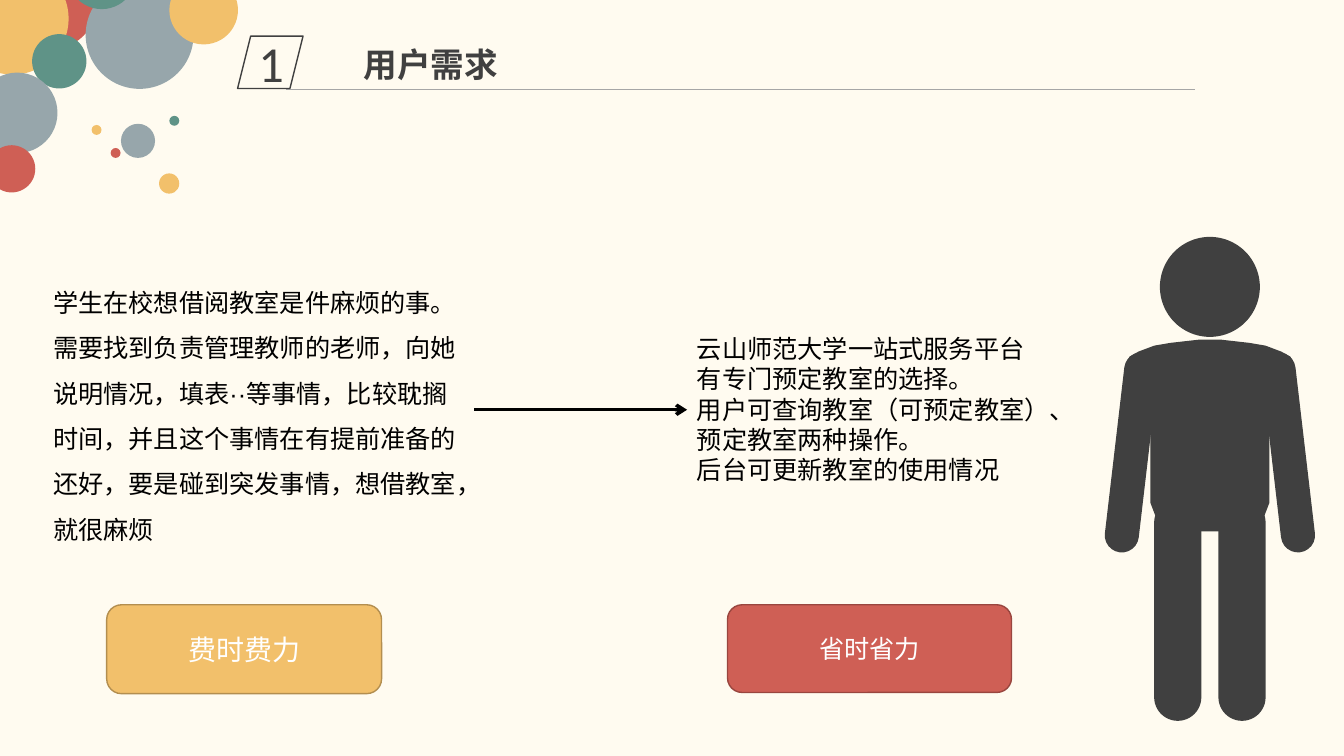
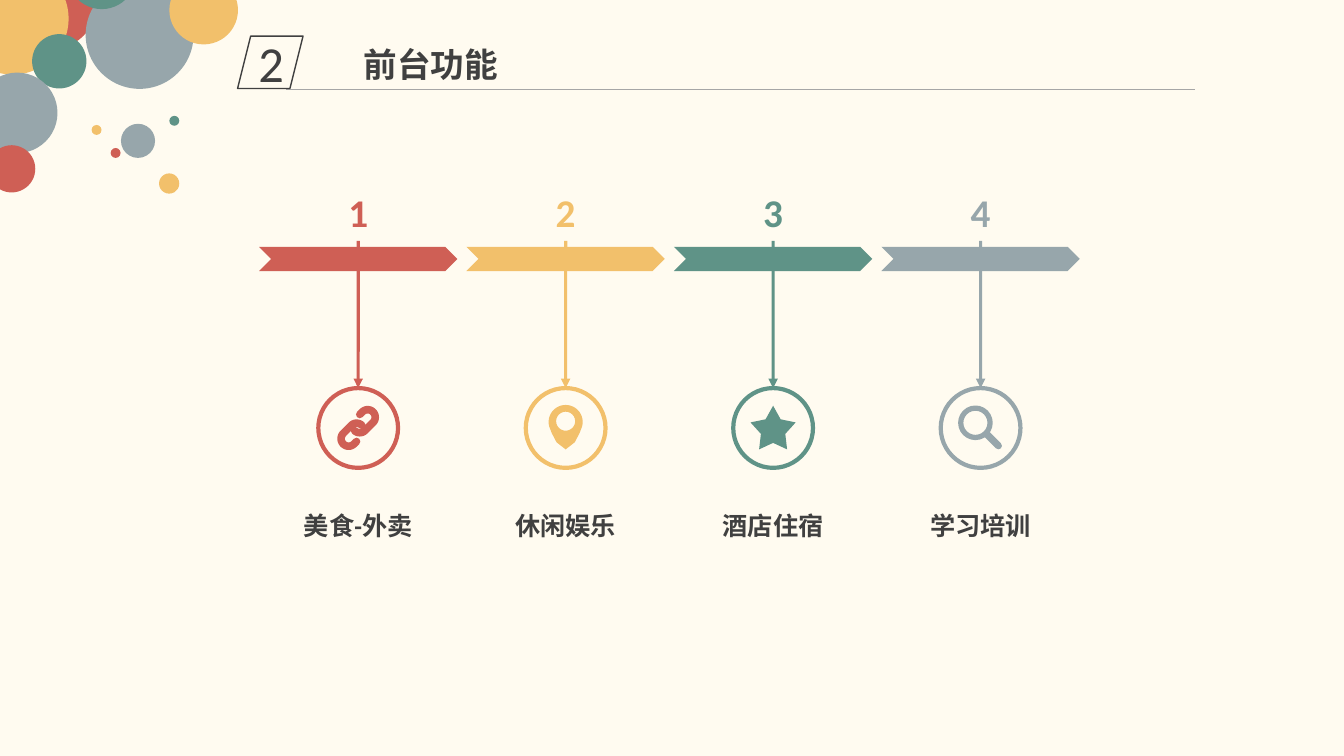
import math
from dataclasses import dataclass, field

import lxml.etree
import pptx
import pptx.dml.color
import pptx.enum.shapes
import pptx.enum.text
import pptx.oxml.ns
import pptx.util

Cm = pptx.util.Cm
Pt = pptx.util.Pt
SHAPE = pptx.enum.shapes.MSO_SHAPE
ALIGN = pptx.enum.text.PP_ALIGN
ANCHOR = pptx.enum.text.MSO_ANCHOR
qn = pptx.oxml.ns.qn


@dataclass(frozen=True)
class Theme:
    cream: str = "FFFBF0"
    red: str = "CF5F55"
    yellow: str = "F2C06B"
    green: str = "5F9387"
    gray: str = "97A6AB"
    dark: str = "404040"
    rule: str = "A6A6A6"
    black: str = "000000"
    white: str = "FFFFFF"
    yellow_edge: str = "B38E4F"
    red_edge: str = "99463F"
    asian_font: dict = field(default_factory=lambda: {
        "Arial": "Calibri", "Calibri": "Calibri", "Noto Sans CJK SC": "Noto Sans CJK SC"})
    title: dict = field(default_factory=lambda: {
        "name": "Noto Sans CJK SC", "size": Pt(24), "bold": True})
    section: dict = field(default_factory=lambda: {"name": "Calibri", "size": Pt(36)})
    number: dict = field(default_factory=lambda: {
        "name": "Calibri", "size": Pt(28), "bold": True})
    label: dict = field(default_factory=lambda: {
        "name": "Calibri", "size": Pt(18), "bold": True})
    problem: dict = field(default_factory=lambda: {"name": "Arial", "size": Pt(18)})
    body: dict = field(default_factory=lambda: {"name": "Calibri", "size": Pt(18)})
    button: dict = field(default_factory=lambda: {"name": "Calibri", "size": Pt(20)})


THEME = Theme()

# All positions and sizes below are in centimetres.
SLIDE_SIZE = (33.88, 19.05)

BUBBLES = [  # left, top, diameter, colour
    (0.1, -1.12, 2.36, THEME.red),
    (-1.09, -0.94, 2.82, THEME.yellow),
    (0.81, 0.86, 1.37, THEME.green),
    (-0.58, 1.83, 2.03, THEME.gray),
    (2.16, -0.48, 2.72, THEME.gray),
    (1.7, -1.5, 1.73, THEME.green),
    (-0.3, 3.66, 1.19, THEME.red),
    (3.05, 3.12, 0.86, THEME.gray),
    (2.79, 3.73, 0.25, THEME.red),
    (2.31, 3.15, 0.25, THEME.yellow),
    (4.27, 2.92, 0.25, THEME.green),
    (4.01, 4.37, 0.51, THEME.yellow),
    (4.27, -0.61, 1.73, THEME.yellow),
]

NEEDS_TITLE = "用户需求"
PROBLEM = [
    "学生在校想借阅教室是件麻烦的事。需要找到负责管理教师的老师，向她说明情况，填表··等事情，"
    "比较耽搁时间，并且这个事情在有提前准备的还好，要是碰到突发事情，想借教室，就很麻烦",
]
SOLUTION = [
    "云山师范大学一站式服务平台",
    "有专门预定教室的选择。",
    "用户可查询教室（可预定教室）、预定教室两种操作。",
    "后台可更新教室的使用情况",
]
BUTTONS = [  # text, box, fill, edge, style
    ("费时费力", (2.69, 15.24, 6.93, 2.24), THEME.yellow, THEME.yellow_edge, THEME.button),
    ("省时省力", (18.34, 15.24, 7.16, 2.21), THEME.red, THEME.red_edge, THEME.body),
]
PERSON_AXIS = 30.5
TORSO_SIDE = [  # distance from the axis, height on the slide
    (0.28, 8.56), (0.99, 8.64), (1.4, 8.71), (1.8, 8.86), (2.03, 8.99), (2.12, 9.19),
    (1.96, 9.5), (1.5, 9.83), (1.5, 12.67), (1.35, 13.06), (1.14, 13.28), (0.71, 13.39),
]
LIMBS = [  # start, end (distance from the axis, height), width
    ((1.73, 9.31), (2.22, 13.49), 0.86),
    ((0.81, 13.17), (0.81, 17.57), 1.19),
]

FEATURES_TITLE = "前台功能"
FEATURES = [  # label, colour, icon
    ("美食-外卖", THEME.red, "link"),
    ("休闲娱乐", THEME.yellow, "pin"),
    ("酒店住宿", THEME.green, "star"),
    ("学习培训", THEME.gray, "magnifier"),
]
FEATURE_LEFT, FEATURE_WIDTH, FEATURE_PITCH = 6.53, 5.0, 5.23
RING_TOP, RING_SIZE = 9.78, 2.01


def rgb(colour):
    return pptx.dml.color.RGBColor.from_string(colour)


def paint(shape, fill=None, line=None, width=1):
    shape.shadow.inherit = False
    if fill:
        shape.fill.solid()
        shape.fill.fore_color.rgb = rgb(fill)
    else:
        shape.fill.background()
    if line:
        shape.line.color.rgb = rgb(line)
        shape.line.width = Pt(width)
    else:
        shape.line.fill.background()
    return shape


def add_preset(slide, kind, box, **colours):
    return paint(slide.shapes.add_shape(kind, *map(Cm, box)), **colours)


def write(shape, lines, style, colour, spacing=None, align=ALIGN.LEFT,
          anchor=ANCHOR.TOP, wrap=True):
    frame = shape.text_frame
    frame.word_wrap = wrap
    frame.vertical_anchor = anchor
    for index, text in enumerate(lines):
        paragraph = frame.add_paragraph() if index else frame.paragraphs[0]
        paragraph.alignment = align
        if spacing:
            paragraph.line_spacing = spacing
        run = paragraph.add_run()
        run.text = text
        for name, value in style.items():
            setattr(run.font, name, value)
        run.font.color.rgb = rgb(colour)
        asian = lxml.etree.SubElement(run._r.get_or_add_rPr(), qn("a:ea"))
        asian.set("typeface", THEME.asian_font[style["name"]])
    return shape


def add_text(slide, box, lines, style, colour, **options):
    return write(slide.shapes.add_textbox(*map(Cm, box)), lines, style, colour, **options)


def add_line(slide, start, end, colour, width, head=None):
    connector = slide.shapes.add_connector(
        pptx.enum.shapes.MSO_CONNECTOR.STRAIGHT, *map(Cm, start + end))
    connector.line.color.rgb = rgb(colour)
    connector.line.width = Pt(width)
    properties = connector._element.spPr
    if head:
        lxml.etree.SubElement(properties.get_or_add_ln(), qn("a:tailEnd")).set("type", head)
    lxml.etree.SubElement(properties, qn("a:effectLst"))
    return connector


def add_outline(slide, contours, closed=True):
    """Builds one freeform out of one or more contours."""
    contours = [[(Cm(x), Cm(y)) for x, y in contour] for contour in contours]
    builder = slide.shapes.build_freeform(*contours[0][0])
    for index, contour in enumerate(contours):
        if index:
            builder.move_to(*contour[0])
        builder.add_line_segments(contour[1:], close=closed)
    return builder.convert_to_shape()


def add_stroke(slide, points, colour, width):
    """Draws an open line with round ends."""
    shape = paint(add_outline(slide, [points], closed=False), line=colour, width=width)
    shape._element.spPr.get_or_add_ln().set("cap", "rnd")


def add_capsule(slide, start, end, width, colour):
    """Draws a bar with round ends between two end centres."""
    (x1, y1), (x2, y2) = start, end
    length = math.hypot(x2 - x1, y2 - y1) + width
    box = ((x1 + x2 - width) / 2, (y1 + y2 - length) / 2, width, length)
    capsule = add_preset(slide, SHAPE.ROUNDED_RECTANGLE, box, fill=colour)
    capsule.adjustments[0] = 0.5
    capsule.rotation = -math.degrees(math.atan2(x2 - x1, y2 - y1))


def arc(x, y, radius, first, last, steps=24):
    """Points on a circle, clockwise, angles in degrees."""
    angles = [math.radians(first + (last - first) * i / steps) for i in range(steps + 1)]
    return [(x + radius * math.cos(a), y + radius * math.sin(a)) for a in angles]


def shift(points, x, y, factor=1):
    return [(x + factor * dx, y + factor * dy) for dx, dy in points]


def draw_link(slide, x, y, colour):
    half = [(0.04, -0.34)] + arc(0.24, -0.27, 0.19, 225, 405) + arc(0.04, -0.07, 0.19, 45, 135)
    for factor in (1, -1):
        add_stroke(slide, shift(half, x, y, factor), colour, 5.4)


def draw_pin(slide, x, y, colour):
    body = arc(0, -0.15, 0.43, 165, 375) + [
        (0.35, 0.13), (0.23, 0.36), (0, 0.54), (-0.23, 0.36), (-0.35, 0.13)]
    hole = arc(0, -0.17, 0.24, 360, 0)
    paint(add_outline(slide, [shift(body, x, y), shift(hole, x, y)]), fill=colour)


def draw_star(slide, x, y, colour):
    star = add_preset(slide, SHAPE.STAR_5_POINT, (x - 0.57, y - 0.56, 1.14, 1.1), fill=colour)
    star.adjustments[0] = 0.27


def draw_magnifier(slide, x, y, colour):
    add_stroke(slide, shift(arc(-0.13, -0.13, 0.37, 0, 360), x, y), colour, 3.75)
    add_stroke(slide, shift([(0.16, 0.16), (0.45, 0.45)], x, y), colour, 5)


ICONS = {"link": draw_link, "pin": draw_pin, "star": draw_star, "magnifier": draw_magnifier}


def add_header(slide, number, title):
    for left, top, size, colour in BUBBLES:
        add_preset(slide, SHAPE.OVAL, (left, top, size, size), fill=colour)
    add_line(slide, (7.21, 2.24), (30.12, 2.24), THEME.rule, 0.5)
    badge = add_preset(slide, SHAPE.PARALLELOGRAM, (5.99, 0.91, 1.65, 1.32), line=THEME.dark)
    write(badge, [str(number)], THEME.section, THEME.dark,
          align=ALIGN.CENTER, anchor=ANCHOR.MIDDLE)
    add_text(slide, (8.92, 0.97, 13.03, 1.27), [title], THEME.title, THEME.dark)


def draw_person(slide):
    add_preset(slide, SHAPE.OVAL, (PERSON_AXIS - 1.26, 5.97, 2.52, 2.52), fill=THEME.dark)
    for side in (-1, 1):
        for start, end, width in LIMBS:
            ends = [(PERSON_AXIS + side * dx, y) for dx, y in (start, end)]
            add_capsule(slide, *ends, width, THEME.dark)
    torso = TORSO_SIDE + [(-dx, y) for dx, y in reversed(TORSO_SIDE)]
    paint(add_outline(slide, [shift(torso, PERSON_AXIS, 0)]), fill=THEME.dark)


def build_needs(slide):
    draw_person(slide)
    add_header(slide, 1, NEEDS_TITLE)
    problem = add_text(slide, (1.09, 6.73, 10.87, 7.19), PROBLEM, THEME.problem,
                       THEME.black, spacing=1.5)
    solution = add_text(slide, (17.32, 8.28, 9.93, 4.09), SOLUTION, THEME.body, THEME.black)
    arrow = add_line(slide, (11.96, 10.33), (17.32, 10.33), THEME.black, 2.5, "arrow")
    arrow.begin_connect(problem, 3)
    arrow.end_connect(solution, 1)
    for text, box, fill, edge, style in BUTTONS:
        button = add_preset(slide, SHAPE.ROUNDED_RECTANGLE, box, fill=fill, line=edge)
        write(button, [text], style, THEME.white, align=ALIGN.CENTER, anchor=ANCHOR.MIDDLE)


def build_features(slide):
    add_header(slide, 2, FEATURES_TITLE)
    for index, (label, colour, icon) in enumerate(FEATURES):
        left = FEATURE_LEFT + index * FEATURE_PITCH
        middle = left + FEATURE_WIDTH / 2
        add_preset(slide, SHAPE.CHEVRON, (left, 6.22, FEATURE_WIDTH, 0.61), fill=colour)
        add_text(slide, (middle - 0.51, 4.62, 1.02, 1.45), [str(index + 1)], THEME.number,
                 colour, align=ALIGN.CENTER, wrap=False)
        add_text(slide, (left, 12.73, FEATURE_WIDTH, 1.02), [label], THEME.label,
                 THEME.dark, align=ALIGN.CENTER)
        ring = add_preset(slide, SHAPE.OVAL,
                          (middle - RING_SIZE / 2, RING_TOP, RING_SIZE, RING_SIZE),
                          line=colour, width=3)
        arrow = add_line(slide, (middle, 6.07), (middle, RING_TOP), colour, 2.25, "triangle")
        arrow.end_connect(ring, 0)
        ICONS[icon](slide, middle, RING_TOP + RING_SIZE / 2, colour)


def main():
    presentation = pptx.Presentation()
    presentation.slide_width, presentation.slide_height = map(Cm, SLIDE_SIZE)
    background = presentation.slide_master.background.fill
    background.solid()
    background.fore_color.rgb = rgb(THEME.cream)
    for build in (build_needs, build_features):
        build(presentation.slides.add_slide(presentation.slide_layouts[6]))
    presentation.save("out.pptx")


if __name__ == "__main__":
    main()
